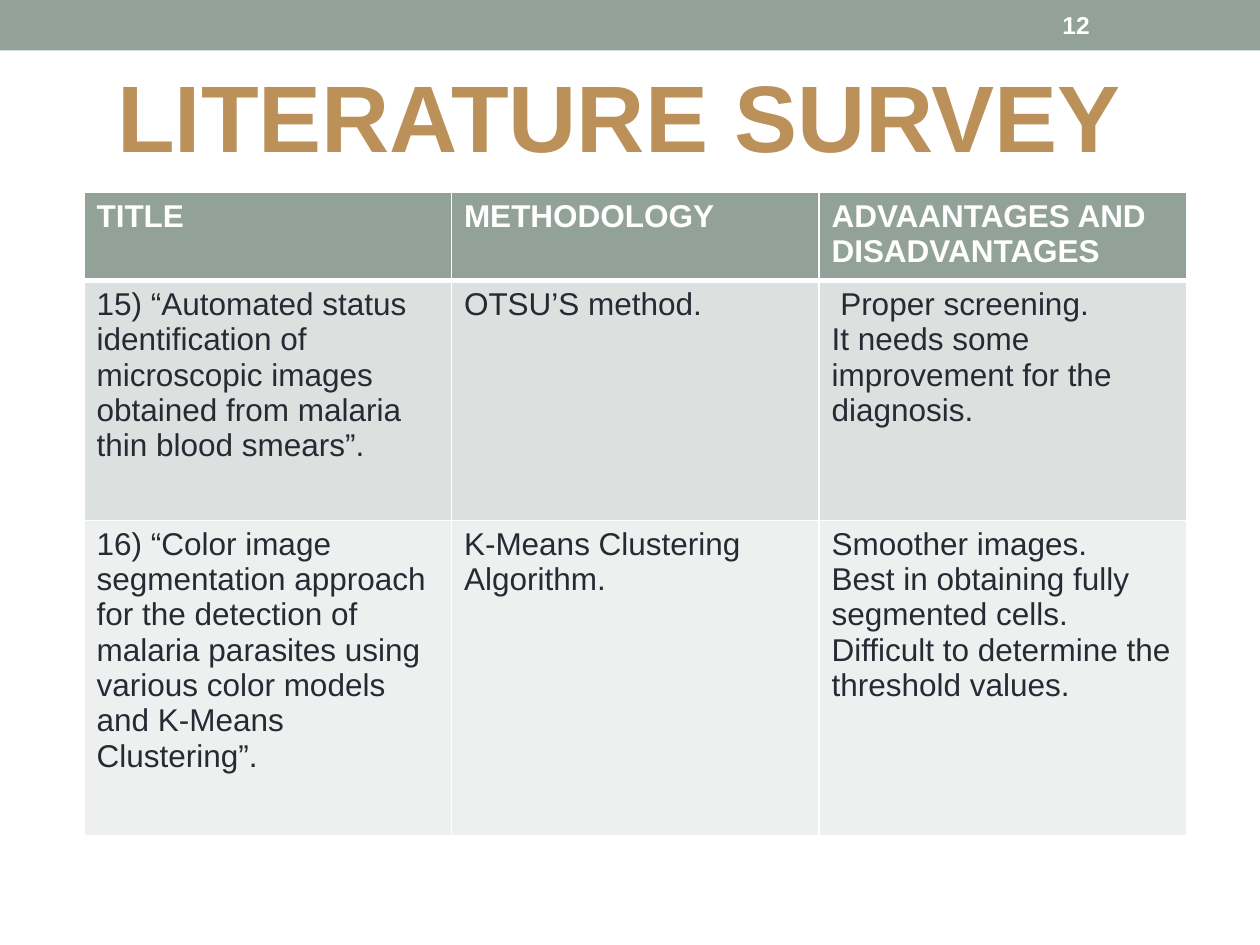
from lxml import etree
from pptx import Presentation
from pptx.dml.color import RGBColor
from pptx.enum.shapes import MSO_SHAPE
from pptx.enum.text import MSO_ANCHOR, PP_ALIGN
from pptx.oxml.ns import qn
from pptx.util import Pt

RECTANGLE = MSO_SHAPE.RECTANGLE
TOP, MIDDLE = MSO_ANCHOR.TOP, MSO_ANCHOR.MIDDLE
LEFT, CENTER = PP_ALIGN.LEFT, PP_ALIGN.CENTER

FONT = "Arial"
SAGE, WHITE, INK, BRONZE = "93A299", "FFFFFF", "292934", "BB9159"
ROW_FILLS = [SAGE, "DCE0DE", "EEF0EF"]
ROW_HEIGHTS = [50, 137, 180]
COLUMN_WIDTH = 210

# Each line of a cell is one paragraph
SURVEY = [
    ["TITLE", "METHODOLOGY", "ADVAANTAGES AND DISADVANTAGES"],
    [
        "15) “Automated status identification of microscopic images "
        "obtained from malaria thin blood smears”.",
        "OTSU’S method.",
        " Proper screening.\nIt needs some improvement for the diagnosis.",
    ],
    [
        "16) “Color image segmentation approach for the detection of malaria "
        "parasites using various color models and K-Means Clustering”.",
        "K-Means Clustering\nAlgorithm.",
        "Smoother images.\nBest in obtaining fully segmented cells.\n"
        "Difficult to determine the threshold values.",
    ],
]


def color(value):
    return RGBColor.from_string(value)


def write(frame, text, size=18, fill=INK, bold=False, align=LEFT):
    for index, line in enumerate(text.split("\n")):
        para = frame.add_paragraph() if index else frame.paragraphs[0]
        para.alignment = align
        span = para.add_run()
        span.text = line
        span.font.name = FONT
        span.font.size = Pt(size)
        span.font.bold = bold
        span.font.color.rgb = color(fill)


def add_band(page, left, top, width, height, fill):
    band = page.shapes.add_shape(RECTANGLE, Pt(left), Pt(top), Pt(width), Pt(height))
    band.shadow.inherit = False
    band.fill.solid()
    band.fill.fore_color.rgb = color(fill)
    band.line.fill.background()


def add_text(page, text, left, top, width, height, anchor=TOP, inset=3.6, **style):
    box = page.shapes.add_textbox(Pt(left), Pt(top), Pt(width), Pt(height))
    frame = box.text_frame
    frame.word_wrap = True
    frame.vertical_anchor = anchor
    frame.margin_top = Pt(inset)
    write(frame, text, **style)


def set_borders(cell, widths):
    properties = cell._tc.get_or_add_tcPr()
    # Borders come before the fill in the cell properties
    for index, (side, width) in enumerate(widths.items()):
        line = etree.Element(qn(f"a:ln{side}"), w=str(Pt(width)))
        solid = etree.SubElement(line, qn("a:solidFill"))
        etree.SubElement(solid, qn("a:srgbClr"), val=WHITE)
        properties.insert(index, line)


def add_survey_table(page, left, top):
    rows, columns = len(SURVEY), len(SURVEY[0])
    table = page.shapes.add_table(
        rows, columns, Pt(left), Pt(top),
        Pt(columns * COLUMN_WIDTH), Pt(sum(ROW_HEIGHTS)),
    ).table
    for column in table.columns:
        column.width = Pt(COLUMN_WIDTH)
    for index, texts in enumerate(SURVEY):
        table.rows[index].height = Pt(ROW_HEIGHTS[index])
        header = index == 0
        for cell, text in zip(table.rows[index].cells, texts):
            cell.fill.solid()
            cell.fill.fore_color.rgb = color(ROW_FILLS[index])
            write(cell.text_frame, text, fill=WHITE if header else INK, bold=header)
            set_borders(cell, {"L": 1, "R": 1, "T": 3 if index == 1 else 1,
                               "B": 3 if header else 1})


def main():
    deck = Presentation()
    deck.slide_width, deck.slide_height = Pt(720), Pt(540)
    page = deck.slides.add_slide(deck.slide_layouts[6])

    # Top band with the page number
    add_band(page, 0, 0, 720, 28.8, SAGE)
    add_text(page, "12", 600, 1.44, 84, 25.92, anchor=MIDDLE,
             size=14, fill=WHITE, bold=True)

    # Survey table and heading
    add_survey_table(page, 48, 110)
    add_text(page, "LITERATURE SURVEY", 36, 24, 636, 204, inset=9,
             size=54, fill=BRONZE, bold=True, align=CENTER)

    deck.save("out.pptx")


if __name__ == "__main__":
    main()
